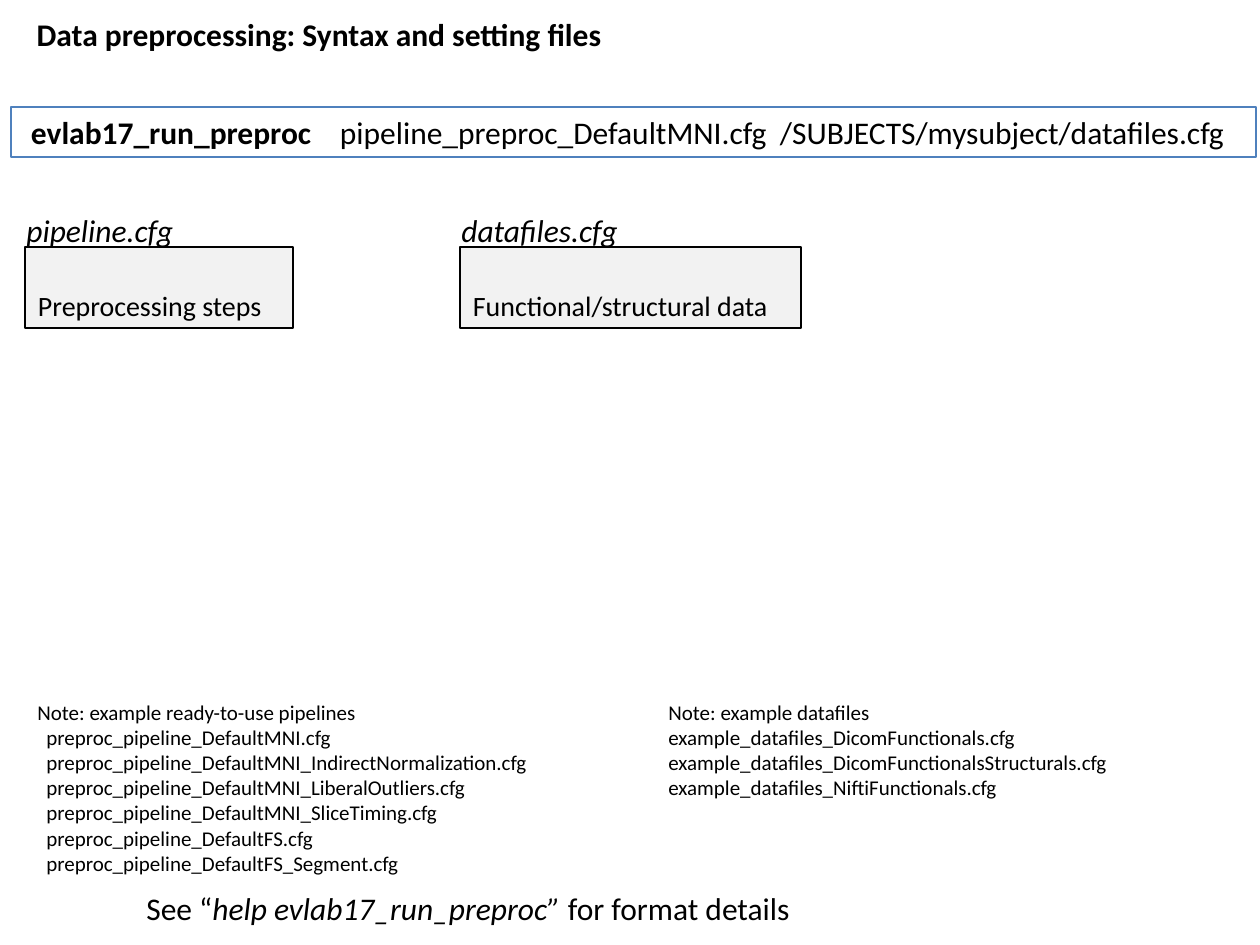
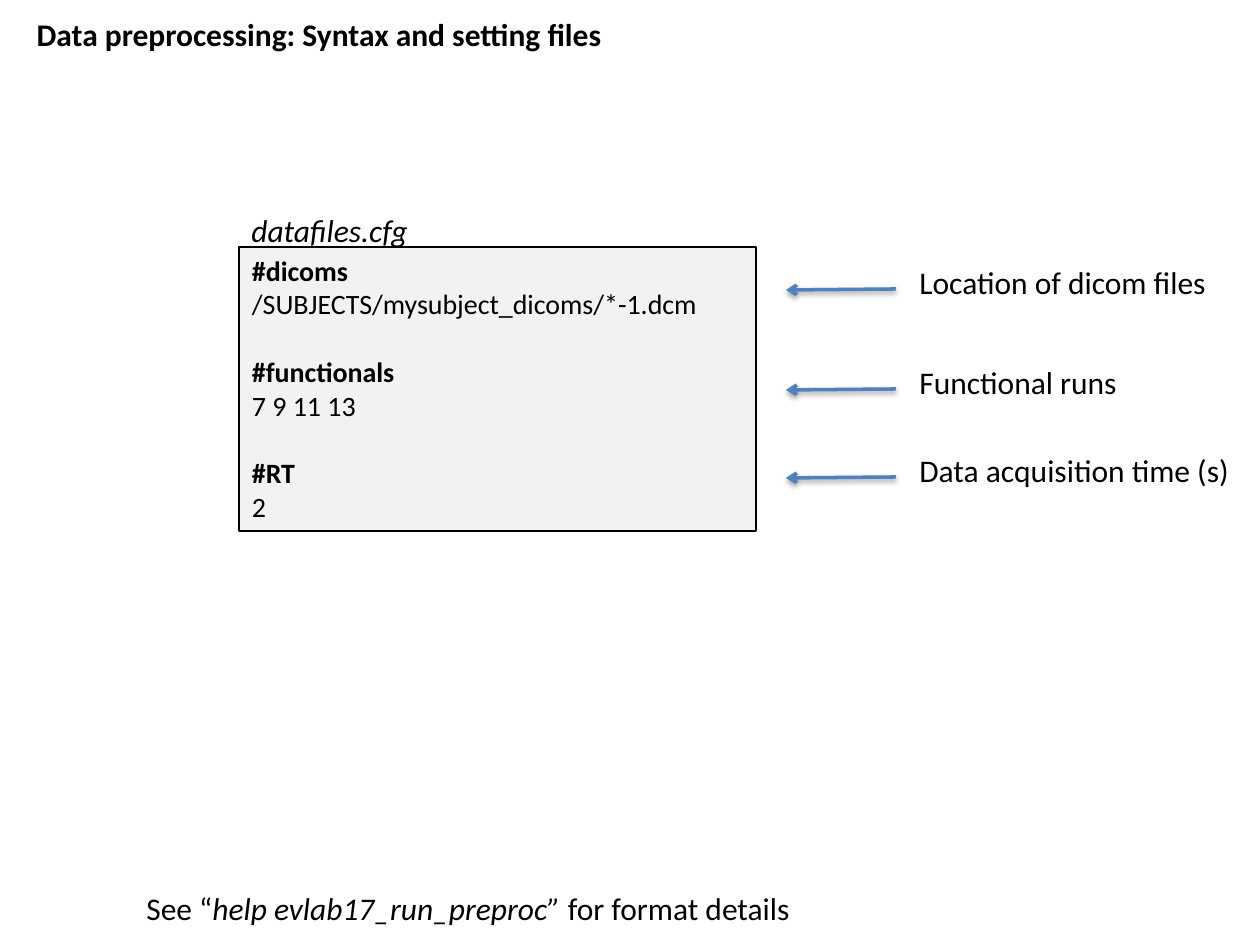
from dataclasses import dataclass

import lxml.etree
import pptx
import pptx.dml.color
import pptx.enum.shapes
import pptx.enum.text
import pptx.oxml
import pptx.oxml.ns
import pptx.util

PX = 914400 / 126  # EMU in one px
ANCHOR = pptx.enum.text.MSO_ANCHOR


@dataclass(frozen=True)
class Theme:
    font: str = "Calibri"
    ink: str = "000000"
    accent: str = "4F81BD"
    panel: str = "F2F2F2"
    body: int = 18
    panel_text: int = 16
    note: int = 12
    thin: float = 0.75
    arrow: float = 2


THEME = Theme()
TITLE = "Data preprocessing: Syntax and setting files"
SHADOW = """<a:effectLst xmlns:a="http://schemas.openxmlformats.org/drawingml/2006/main">
<a:outerShdw blurRad="40000" dist="20000" dir="5400000" rotWithShape="0">
<a:srgbClr val="000000"><a:alpha val="38000"/></a:srgbClr></a:outerShdw></a:effectLst>"""


def px(n):
    return pptx.util.Emu(round(n * PX))


def rgb(value):
    return pptx.dml.color.RGBColor.from_string(value)


def write(tf, paragraphs, size=THEME.body, bold=False, italic=False,
          anchor=ANCHOR.TOP, gaps=(), gap=0, indent=0, tabs=()):
    """Fill a frame; a paragraph is a string or a list of (text, bold, italic).

    gaps: indexes of paragraphs with gap points before them.
    indent: px for every paragraph after the first.
    """
    tf.word_wrap = True
    tf.auto_size = pptx.enum.text.MSO_AUTO_SIZE.NONE
    tf.vertical_anchor = anchor
    for i, runs in enumerate(paragraphs):
        p = tf.paragraphs[0] if i == 0 else tf.add_paragraph()
        p.alignment = pptx.enum.text.PP_ALIGN.LEFT
        if i in gaps:
            p.space_before = pptx.util.Pt(gap)
        p_pr = p._p.get_or_add_pPr()
        if i and indent:
            p_pr.set("marL", str(px(indent)))
        if tabs:
            tab_list = lxml.etree.SubElement(p_pr, pptx.oxml.ns.qn("a:tabLst"))
            for stop in tabs:
                lxml.etree.SubElement(tab_list, pptx.oxml.ns.qn("a:tab"),
                                      pos=str(px(stop)), algn="l")
        if isinstance(runs, str):
            runs = [(runs, bold, italic)]
        for text, is_bold, is_italic in runs:
            r = p.add_run()
            r.text = text
            r.font.name = THEME.font
            r.font.size = pptx.util.Pt(size)
            r.font.bold = is_bold
            r.font.italic = is_italic
            r.font.color.rgb = rgb(THEME.ink)


class Deck:
    """Holds the presentation and the slide being drawn."""

    def __init__(self):
        self.prs = pptx.Presentation()
        self.prs.slide_width, self.prs.slide_height = px(1260), px(945)

    def new_slide(self):
        """Add a slide with the shared title and closing hint."""
        self.s = self.prs.slides.add_slide(self.prs.slide_layouts[5])
        title = self.s.shapes.title
        title.left, title.top, title.width, title.height = map(px, (24, 9, 1178, 50))
        write(title.text_frame, [TITLE], bold=True)
        self.text(134, 883, 1018, 50, [[("See “", False, False),
                                        ("help evlab17_run_preproc” ", False, True),
                                        ("for format details", False, False)]])

    def text(self, x, y, w, h, paragraphs, **fmt):
        sp = self.s.shapes.add_textbox(px(x), px(y), px(w), px(h))
        write(sp.text_frame, paragraphs, **fmt)

    def box(self, x, y, w, h, paragraphs, line=THEME.ink, fill=None, margin=13, **fmt):
        sp = self.s.shapes.add_shape(pptx.enum.shapes.MSO_SHAPE.RECTANGLE,
                                     px(x), px(y), px(w), px(h))
        sp.shadow.inherit = False
        if fill:
            sp.fill.solid()
            sp.fill.fore_color.rgb = rgb(fill)
        else:
            sp.fill.background()
        sp.line.color.rgb = rgb(line)
        sp.line.width = pptx.util.Pt(THEME.thin)
        sp.text_frame.margin_left = px(margin)
        write(sp.text_frame, paragraphs, **fmt)

    def file_panel(self, x, w, h, name, name_x, paragraphs, **fmt):
        """Grey panel with the file name in italics above it."""
        self.box(x, 247, w, h, paragraphs, fill=THEME.panel, size=THEME.panel_text, **fmt)
        self.text(name_x, 205, 195, 50, [name], italic=True)

    def arrow(self, x1, y1, x2, y2):
        line = self.s.shapes.add_connector(pptx.enum.shapes.MSO_CONNECTOR.STRAIGHT,
                                           px(x1), px(y1), px(x2), px(y2))
        line.line.color.rgb = rgb(THEME.accent)
        line.line.width = pptx.util.Pt(THEME.arrow)
        lxml.etree.SubElement(line.line._get_or_add_ln(),
                              pptx.oxml.ns.qn("a:tailEnd"), type="arrow")
        line._element.spPr.append(pptx.oxml.parse_xml(SHADOW))


def syntax_slide(deck):
    deck.new_slide()
    command = [("evlab17_run_preproc", True, False),
               ("\tpipeline_preproc_DefaultMNI.cfg\t/SUBJECTS/mysubject/datafiles.cfg",
                False, False)]
    deck.box(11, 107, 1245, 50, [command], line=THEME.accent, margin=20, tabs=(309, 749))
    deck.file_panel(25, 268, 81, "pipeline.cfg", 14, ["Preprocessing steps"],
                    anchor=ANCHOR.BOTTOM)
    deck.file_panel(460, 341, 81, "datafiles.cfg", 449, ["Functional/structural data"],
                    anchor=ANCHOR.BOTTOM)
    pipelines = ["DefaultMNI", "DefaultMNI_IndirectNormalization",
                 "DefaultMNI_LiberalOutliers", "DefaultMNI_SliceTiming",
                 "DefaultFS", "DefaultFS_Segment"]
    datafiles = ["DicomFunctionals", "DicomFunctionalsStructurals", "NiftiFunctionals"]
    deck.text(25, 693, 544, 190, ["Note: example ready-to-use pipelines"]
              + [f"preproc_pipeline_{name}.cfg" for name in pipelines],
              size=THEME.note, indent=9)
    deck.text(656, 693, 544, 115, ["Note: example datafiles"]
              + [f"example_datafiles_{name}.cfg" for name in datafiles], size=THEME.note)


def datafiles_slide(deck):
    deck.new_slide()
    settings = [("#dicoms", "/SUBJECTS/mysubject_dicoms/*-1.dcm"),
                ("#functionals", "7 9 11 13"),
                ("#RT", "2")]
    lines = []
    for key, value in settings:
        lines += [[(key, True, False)], value]
    deck.file_panel(239, 517, 284, "datafiles.cfg", 239, lines, gaps=(2, 4), gap=19.5)
    labels = [(257, "Location of dicom files"), (357, "Functional runs"),
              (445, "Data acquisition time (s)")]
    for y, label in labels:
        deck.text(907, y, 353, 50, [label])
        deck.arrow(896, y + 32, 786, y + 33)


def main():
    deck = Deck()
    syntax_slide(deck)
    datafiles_slide(deck)
    deck.prs.save("out.pptx")


if __name__ == "__main__":
    main()
